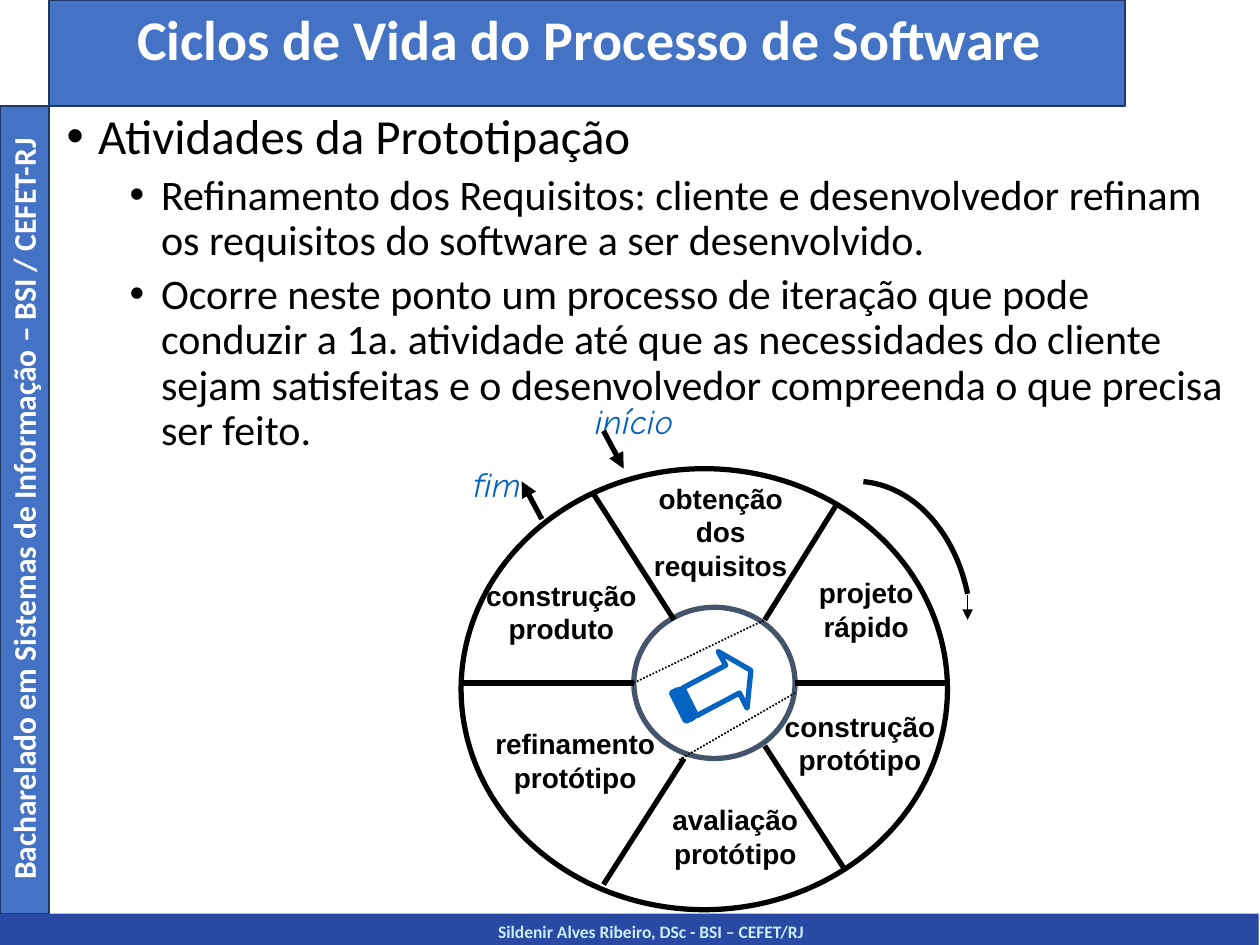
"""Builds the slide on prototyping activities with its six-part cycle wheel."""
from dataclasses import dataclass

from pptx import Presentation
from pptx import util as u
from pptx.dml.color import RGBColor
from pptx.enum import dml, shapes, text
from pptx.oxml.ns import qn

EMU_PER_PX = 9144


@dataclass(frozen=True)
class Theme:
    black: str = "000000"
    white: str = "FFFFFF"
    panel: str = "4472C4"
    panel_edge: str = "203864"
    footer: str = "2949A3"
    footer_text: str = "CCECFF"
    hub: str = "44546A"
    accent: str = "0563C1"
    body_font: str = "Calibri"
    label_font: str = "Arial"
    note_font: str = "Comic Neue"
    title_size: int = 32
    level_sizes: tuple = (28, 24)
    note_size: int = 20
    side_size: int = 18
    label_size: int = 16
    footer_size: int = 10
    thick: float = 3
    thin: float = 1
    hairline: float = 0.75


THEME = Theme()

BULLETS = [
    (0, "Atividades da Prototipação"),
    (1, "Refinamento dos Requisitos: cliente e desenvolvedor refinam os requisitos "
        "do software a ser desenvolvido."),
    (1, "Ocorre neste ponto um processo de iteração que pode conduzir a 1a. atividade "
        "até que as necessidades do cliente sejam satisfeitas e o desenvolvedor "
        "compreenda o que precisa ser feito."),
]
STAGES = [
    ("obtenção dos requisitos", (508, 377, 128, 100)),
    ("projeto rápido", (631, 452, 113, 80)),
    ("construção protótipo", (610, 558, 145, 80)),
    ("avaliação protótipo", (519, 632, 129, 80)),
    ("refinamento protótipo", (382, 572, 149, 80)),
    ("construção produto", (373, 454, 145, 80)),
]
SPOKES = [
    ((471, 392), (535, 492)),
    ((663, 402), (607, 492)),
    ((631, 542), (752, 542)),
    ((607, 592), (671, 691)),
    ((543, 602), (479, 702)),
    ((503, 542), (366, 542)),
]
HUB_DOTS = [((503, 542), (607, 492)), ((539, 603), (631, 550))]
HUB_ARROW = [
    [(570, 517), (576, 528), (542, 546), (553, 568), (587, 550), (593, 562), (596, 532)],
    [(536, 548), (548, 571), (551, 569), (540, 547)],
    [(533, 550), (544, 572), (546, 572), (534, 549)],
]


def px(*lengths):
    return [u.Emu(length * EMU_PER_PX) for length in lengths]


def style_line(line, color, width):
    line.color.rgb = RGBColor.from_string(color)
    line.width = u.Pt(width)


def style_shape(shape, fill=None, edge=None, width=THEME.thick):
    shape.shadow.inherit = False
    if fill:
        shape.fill.solid()
        shape.fill.fore_color.rgb = RGBColor.from_string(fill)
    else:
        shape.fill.background()
    if edge:
        style_line(shape.line, edge, width)
    else:
        shape.line.fill.background()


def add_figure(slide, kind, box, **style):
    shape = slide.shapes.add_shape(kind, *px(*box))
    style_shape(shape, **style)
    return shape


def style_font(paragraph, font, size, color, bold=False, italic=False):
    paragraph.font.name = font
    paragraph.font.size = u.Pt(size)
    paragraph.font.color.rgb = RGBColor.from_string(color)
    paragraph.font.bold = bold
    paragraph.font.italic = italic


def add_text(slide, words, box, font, size, color, align=text.PP_ALIGN.CENTER, **emphasis):
    shape = slide.shapes.add_textbox(*px(*box))
    shape.text_frame.word_wrap = True
    paragraph = shape.text_frame.paragraphs[0]
    paragraph.text = words
    paragraph.alignment = align
    style_font(paragraph, font, size, color, **emphasis)
    return shape


def add_bullets(slide, box):
    frame = slide.shapes.add_textbox(*px(*box)).text_frame
    frame.word_wrap = True
    for index, (level, words) in enumerate(BULLETS):
        paragraph = frame.add_paragraph() if index else frame.paragraphs[0]
        paragraph.text = words
        paragraph.level = level
        paragraph.line_spacing = 0.9
        paragraph.space_before = u.Pt(5 if level else 10)
        style_font(paragraph, THEME.body_font, THEME.level_sizes[level], THEME.black)
        properties = paragraph._p.get_or_add_pPr()
        margin, indent = px(25 + 50 * level, -25)
        properties.set("marL", str(margin))
        properties.set("indent", str(indent))
        bullet_font = properties.makeelement(qn("a:buFont"), {"typeface": "Arial"})
        bullet = properties.makeelement(qn("a:buChar"), {"char": "•"})
        properties.insert_element_before(bullet_font, "a:defRPr")
        properties.insert_element_before(bullet, "a:defRPr")


def add_line(slide, start, end, width=THEME.thick, dotted=False, arrow=False):
    line = slide.shapes.add_connector(shapes.MSO_CONNECTOR.STRAIGHT, *px(*start, *end))
    style_line(line.line, THEME.black, width)
    if dotted:
        line.line.dash_style = dml.MSO_LINE.ROUND_DOT
    properties = line._element.spPr
    if arrow:
        outline = properties.find(qn("a:ln"))
        outline.append(outline.makeelement(qn("a:tailEnd"), {"type": "triangle"}))
    properties.append(properties.makeelement(qn("a:effectLst"), {}))


def add_outline(slide, contours, color):
    builder = slide.shapes.build_freeform(*contours[0][0], scale=EMU_PER_PX)
    builder.add_line_segments(contours[0][1:], close=True)
    for contour in contours[1:]:
        builder.move_to(*contour[0])
        builder.add_line_segments(contour[1:], close=True)
    style_shape(builder.convert_to_shape(), edge=color)


def add_frame(slide):
    rectangle = shapes.MSO_SHAPE.RECTANGLE
    panel = dict(fill=THEME.panel, edge=THEME.panel_edge, width=THEME.thin)
    add_figure(slide, rectangle, (0, 725, 999, 25), fill=THEME.footer)
    add_text(slide, "Sildenir Alves Ribeiro, DSc - BSI – CEFET/RJ", (51, 726, 931, 25),
             THEME.body_font, THEME.footer_size, THEME.footer_text, bold=True)
    add_figure(slide, rectangle, (39, 0, 854, 84), **panel)
    add_figure(slide, rectangle, (0, 84, 39, 641), **panel)
    side = add_text(slide, "Bacharelado em Sistemas de Informação – BSI / CEFET-RJ",
                    (-302, 384, 641, 40), THEME.body_font, THEME.side_size,
                    THEME.white, bold=True)
    side.rotation = 270
    title = add_text(slide, "Ciclos de Vida do Processo de Software", (43, 5, 850, 76),
                     THEME.body_font, THEME.title_size, THEME.white, bold=True)
    title.text_frame.paragraphs[0].line_spacing = 0.9


def add_wheel(slide):
    for words, box in (("fim", (366, 362, 88, 50)), ("início", (462, 312, 88, 50))):
        add_text(slide, words, box, THEME.note_font, THEME.note_size, THEME.accent,
                 align=text.PP_ALIGN.LEFT, italic=True)
    for words, box in STAGES:
        add_text(slide, words, box, THEME.label_font, THEME.label_size, THEME.black, bold=True)
    add_figure(slide, shapes.MSO_SHAPE.OVAL, (366, 372, 386, 350), edge=THEME.black)
    add_figure(slide, shapes.MSO_SHAPE.OVAL, (503, 482, 128, 120), edge=THEME.hub)
    for start, end in SPOKES:
        add_line(slide, start, end)
    add_outline(slide, HUB_ARROW, THEME.accent)
    for start, end in HUB_DOTS:
        add_line(slide, start, end, THEME.thin, dotted=True)
    add_line(slide, (430, 412), (414, 382), arrow=True)
    add_line(slide, (479, 342), (495, 372), arrow=True)
    turn = add_figure(slide, shapes.MSO_SHAPE.ARC, (587, 382, 184, 240), edge=THEME.black)
    for index, degrees in enumerate((273, 341)):
        turn.adjustments[index] = degrees * 0.6
    add_line(slide, (768, 472), (768, 492), THEME.hairline, arrow=True)


def main():
    presentation = Presentation()
    presentation.slide_width, presentation.slide_height = px(1000, 750)
    slide = presentation.slides.add_slide(presentation.slide_layouts[6])
    add_frame(slide)
    add_bullets(slide, (43, 84, 953, 291))
    add_wheel(slide)
    presentation.save("out.pptx")


if __name__ == "__main__":
    main()
